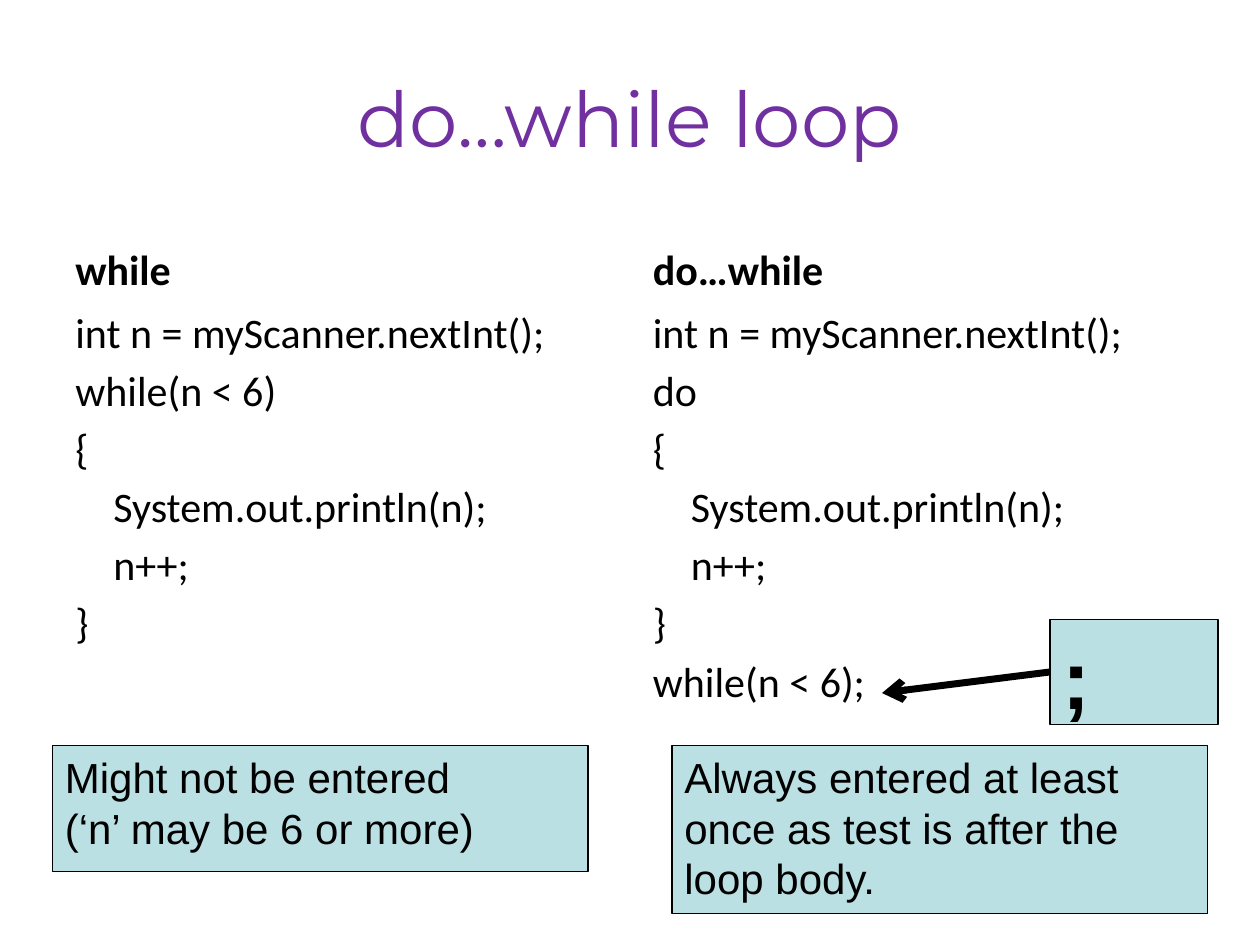
from lxml.etree import SubElement
from pptx import Presentation
from pptx.dml.color import RGBColor
from pptx.enum.shapes import MSO_CONNECTOR, MSO_SHAPE
from pptx.enum.text import MSO_ANCHOR, PP_ALIGN
from pptx.oxml.ns import qn
from pptx.util import Inches, Pt

BLACK = RGBColor(0x00, 0x00, 0x00)
PURPLE = RGBColor(0x70, 0x30, 0xA0)
PALE_BLUE = RGBColor(0xBB, 0xE0, 0xE3)

deck = Presentation()
deck.slide_width, deck.slide_height = Inches(10), Inches(7.5)
slide = deck.slides.add_slide(deck.slide_layouts[6])
COLUMN = deck.slide_width // 120
ROW = deck.slide_height // 90


def write(box, text, font, size=24, color=BLACK, bold=False,
          anchor=MSO_ANCHOR.TOP, align=PP_ALIGN.LEFT, gap=0):
    frame = box.text_frame
    frame.word_wrap = True
    frame.vertical_anchor = anchor
    frame.text = text
    for index, paragraph in enumerate(frame.paragraphs):
        paragraph.alignment = align
        paragraph.space_before = Pt(gap if index else 0)
        for run in paragraph.runs:
            run.font.name = font
            run.font.size = Pt(size)
            run.font.bold = bold
            run.font.color.rgb = color


def place(column, row, columns, rows):
    return column * COLUMN, int(row * ROW), columns * COLUMN, int(rows * ROW)


title = slide.shapes.add_textbox(*place(6, 3.6, 108, 15))
write(title, "do…while loop", "Montserrat", 44, PURPLE,
      anchor=MSO_ANCHOR.MIDDLE, align=PP_ALIGN.CENTER)

declaration = "int n = myScanner.nextInt();"
body = "{\n    System.out.println(n);\n    n++;\n}"
loops = [
    (6, "while", f"{declaration}\nwhile(n < 6)\n{body}"),
    (61, "do…while", f"{declaration}\ndo\n{body}\nwhile(n < 6);"),
]
for column, keyword, code in loops:
    heading = slide.shapes.add_textbox(*place(column, 20.2, 53, 8.4))
    write(heading, keyword, "Calibri", bold=True, anchor=MSO_ANCHOR.BOTTOM)
    listing = slide.shapes.add_textbox(*place(column, 28.6, 53, 51.8))
    write(listing, code, "Calibri", gap=4.4)

notes = [
    (5, 71, 51, 12, "Might not be entered\n(‘n’ may be 6 or more)", 24, False),
    (64, 71, 51, 16,
     "Always entered at least once as test is after the loop body.", 24, False),
    (100, 59, 16, 10, ";", 48, True),
]
for column, row, columns, rows, text, size, bold in notes:
    note = slide.shapes.add_shape(MSO_SHAPE.RECTANGLE,
                                  *place(column, row, columns, rows))
    note.shadow.inherit = False
    note.fill.solid()
    note.fill.fore_color.rgb = PALE_BLUE
    note.line.color.rgb = BLACK
    note.line.width = Pt(0.75)
    write(note, text, "Arial", size, bold=bold)

pointer = slide.shapes.add_connector(
    MSO_CONNECTOR.STRAIGHT, 100 * COLUMN, 64 * ROW, 84 * COLUMN, 66 * ROW)
pointer.line.color.rgb = BLACK
pointer.line.width = Pt(4)
SubElement(pointer.line._get_or_add_ln(), qn("a:tailEnd"), type="arrow")
SubElement(pointer._element.spPr, qn("a:effectLst"))

deck.save("out.pptx")
